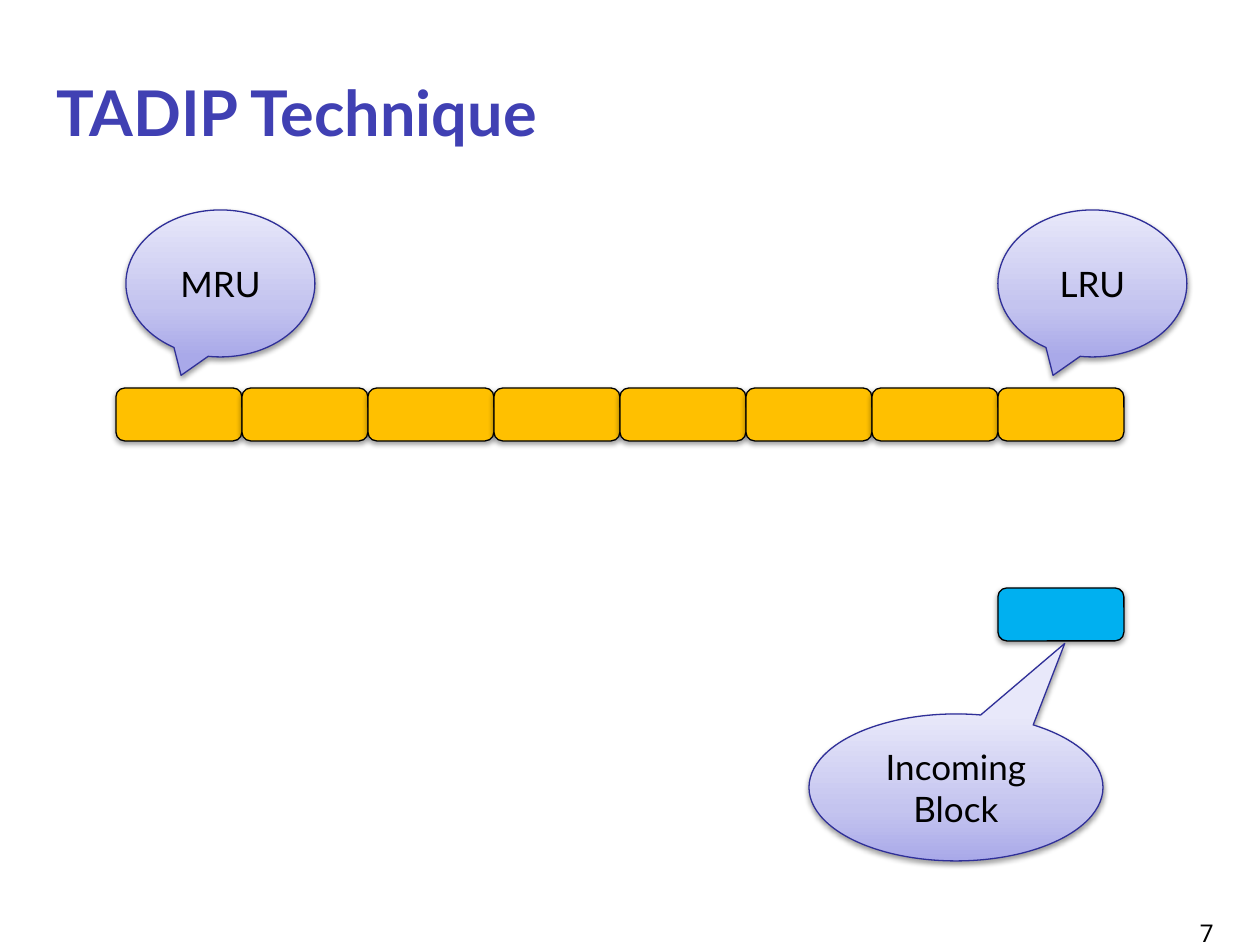
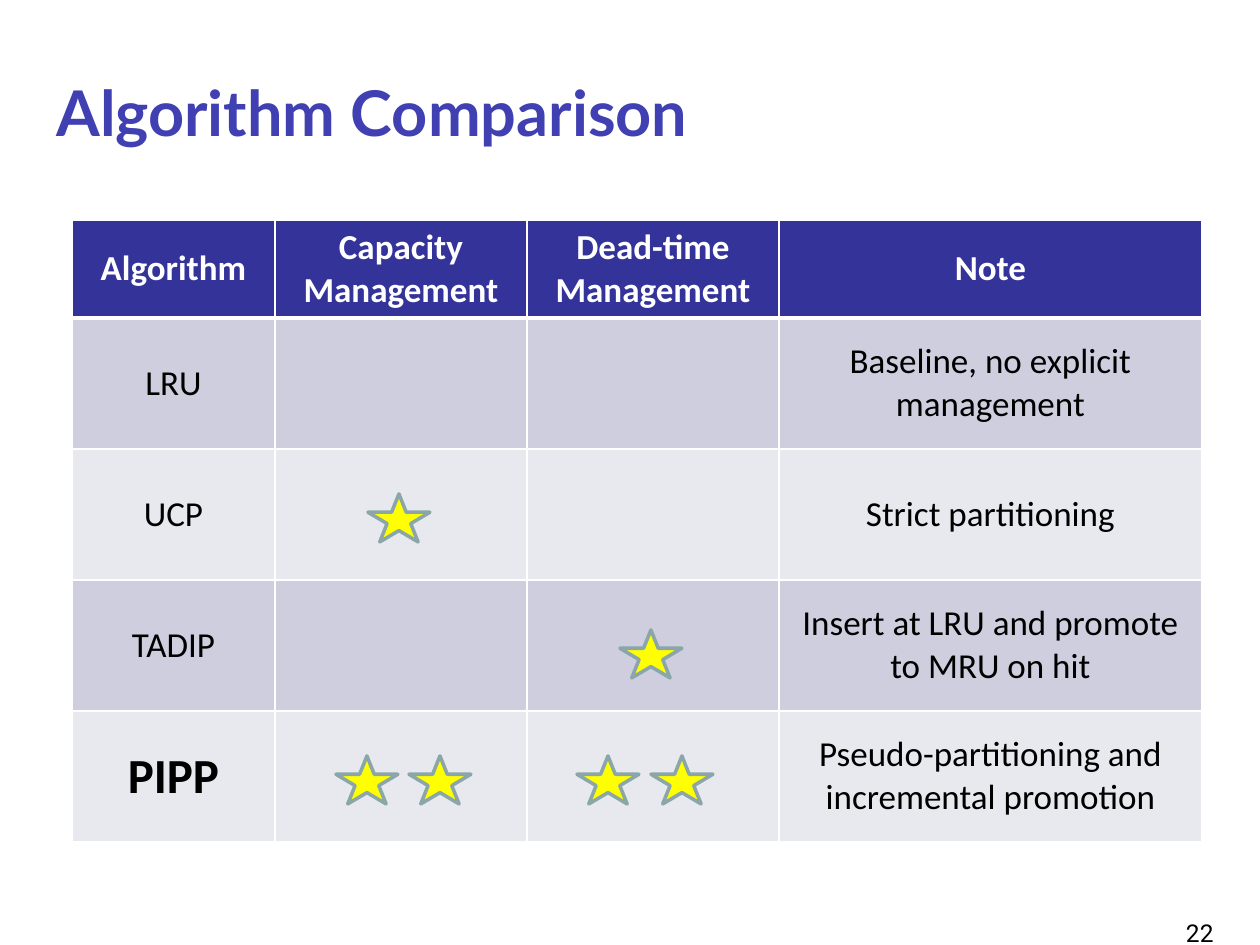
from lxml.etree import SubElement
from pptx import Presentation
from pptx.dml.color import RGBColor
from pptx.enum.shapes import MSO_SHAPE
from pptx.enum.text import MSO_ANCHOR, PP_ALIGN
from pptx.oxml.ns import qn
from pptx.util import Pt

# Content
CACHE_TITLE = "TADIP Technique"
CACHE_PAGE = "7"
BLOCK_COUNT = 8
CALLOUTS = [  # text, (left, top, width, height), tail position or None for the preset one
    ("MRU", (126, 210, 189, 147), None),
    ("LRU", (998, 210, 189, 147), None),
    ("Incoming Block", (809, 714, 294, 147), (0.37, -0.98)),
]

COMPARISON_TITLE = "Algorithm Comparison"
COMPARISON_PAGE = "22"
COMPARISON = [
    ("Algorithm", "Capacity Management", "Dead-time Management", "Note"),
    ("LRU", "", "", "Baseline, no explicit management"),
    ("UCP", "", "", "Strict partitioning"),
    ("TADIP", "", "", "Insert at LRU and promote to MRU on hit"),
    ("PIPP", "", "", "Pseudo-partitioning and incremental promotion"),
]
HIGHLIGHT = "PIPP"
STARS = [(368, 494), (620, 630), (336, 756), (409, 756), (577, 756), (651, 756)]

# Layout in px
EMU_PER_PX = 914400 / 126
SLIDE_SIZE = (1260, 945)
TITLE_BOX = (44, 59, 1134, 105)
PAGE_BOX = (1143, 912, 83, 21)
BLOCK_LEFT, BLOCK_TOP, INCOMING_TOP = 116, 388, 588
BLOCK_WIDTH, BLOCK_HEIGHT = 126, 53
TABLE_LEFT, TABLE_TOP = 72, 220
COLUMN_WIDTHS = [203, 252, 252, 423]
ROW_HEIGHTS = [98] + [131] * 4
STAR_WIDTH, STAR_HEIGHT = 62, 48

# Style
HEADING_FONT, TABLE_FONT, PAGE_FONT = "Lato", "Calibri", "Roboto"
BLACK = RGBColor(0x00, 0x00, 0x00)
WHITE = RGBColor(0xFF, 0xFF, 0xFF)
TITLE_BLUE = RGBColor(0x40, 0x40, 0xB3)
CALLOUT_LINE = RGBColor(0x2F, 0x2F, 0x98)
CALLOUT_STOPS = [
    (0, RGBColor(0xA9, 0xA9, 0xE9)),
    (35, RGBColor(0xC4, 0xC4, 0xEF)),
    (100, RGBColor(0xE8, 0xE8, 0xFA)),
]
CACHED = RGBColor(0xFF, 0xC0, 0x00)
INCOMING = RGBColor(0x00, 0xB0, 0xF0)
HEADER_FILL = RGBColor(0x33, 0x33, 0x99)
ROW_FILLS = [RGBColor(0xE8, 0xE8, 0xEF), RGBColor(0xCE, 0xCE, 0xDE)]
STAR_FILL = RGBColor(0xFF, 0xFF, 0x00)
STAR_LINE = RGBColor(0x8A, 0xA6, 0xA8)


def px(length):
    return round(length * EMU_PER_PX)


def write_text(text_frame, text, font=HEADING_FONT, size=20, color=BLACK, bold=False,
               align=PP_ALIGN.CENTER):
    paragraph = text_frame.paragraphs[0]
    paragraph.alignment = align
    run = paragraph.add_run()
    run.text = text
    run.font.name = font
    run.font.size = Pt(size)
    run.font.color.rgb = color
    run.font.bold = bold


def add_text(slide, text, box, anchor=MSO_ANCHOR.TOP, **text_format):
    text_frame = slide.shapes.add_textbox(*map(px, box)).text_frame
    text_frame.word_wrap = True
    text_frame.vertical_anchor = anchor
    write_text(text_frame, text, **text_format)


def add_color(parent, color):
    return SubElement(parent, qn("a:srgbClr"), val=str(color))


def add_soft_shadow(shape):
    shape.shadow.inherit = False
    effects = shape._element.spPr.find(qn("a:effectLst"))
    shadow = SubElement(effects, qn("a:outerShdw"), blurRad="40000", dist="20000",
                        dir="5400000", rotWithShape="0")
    SubElement(add_color(shadow, BLACK), qn("a:alpha"), val="38000")


def add_outlined(slide, preset, box, line_color, line_width, fill=None):
    shape = slide.shapes.add_shape(preset, *map(px, box))
    shape.shadow.inherit = False
    shape.line.color.rgb = line_color
    shape.line.width = Pt(line_width)
    if fill is not None:
        shape.fill.solid()
        shape.fill.fore_color.rgb = fill
    return shape


def add_block(slide, column, top, fill):
    box = (BLOCK_LEFT + column * BLOCK_WIDTH, top, BLOCK_WIDTH, BLOCK_HEIGHT)
    add_soft_shadow(add_outlined(slide, MSO_SHAPE.ROUNDED_RECTANGLE, box, BLACK, 0.75, fill))


def add_callout(slide, text, box, tail):
    shape = add_outlined(slide, MSO_SHAPE.OVAL_CALLOUT, box, CALLOUT_LINE, 0.75)
    shape.fill.gradient()
    shape.fill.gradient_angle = 90
    stops = shape._element.spPr.find(qn("a:gradFill")).find(qn("a:gsLst"))
    stops.clear()
    for position, color in CALLOUT_STOPS:
        add_color(SubElement(stops, qn("a:gs"), pos=str(position * 1000)), color)
    add_soft_shadow(shape)
    if tail:
        shape.adjustments[0], shape.adjustments[1] = tail
    shape.text_frame.word_wrap = True
    shape.text_frame.vertical_anchor = MSO_ANCHOR.MIDDLE
    write_text(shape.text_frame, text)


def add_borders(cell, **widths):
    properties = cell._tc.get_or_add_tcPr()
    for side, width in widths.items():
        line = SubElement(properties, qn(f"a:ln{side}"), w=str(Pt(width)))
        add_color(SubElement(line, qn("a:solidFill")), WHITE)


def add_comparison(slide):
    box = (TABLE_LEFT, TABLE_TOP, sum(COLUMN_WIDTHS), sum(ROW_HEIGHTS))
    table = slide.shapes.add_table(len(COMPARISON), len(COLUMN_WIDTHS), *map(px, box)).table
    table.first_row = table.horz_banding = False
    for column, width in zip(table.columns, COLUMN_WIDTHS):
        column.width = px(width)
    for row_index, texts in enumerate(COMPARISON):
        table.rows[row_index].height = px(ROW_HEIGHTS[row_index])
        is_header = row_index == 0
        for column_index, text in enumerate(texts):
            cell = table.cell(row_index, column_index)
            add_borders(cell, L=1, R=1, T=3 if row_index == 1 else 1, B=3 if is_header else 1)
            cell.fill.solid()
            cell.fill.fore_color.rgb = HEADER_FILL if is_header else ROW_FILLS[row_index % 2]
            cell.vertical_anchor = MSO_ANCHOR.MIDDLE
            if text:
                write_text(cell.text_frame, text, font=TABLE_FONT,
                           size=28 if text == HIGHLIGHT else 20,
                           color=WHITE if is_header else BLACK,
                           bold=is_header or text == HIGHLIGHT)


def add_slide(presentation, title, page):
    slide = presentation.slides.add_slide(presentation.slide_layouts[6])
    add_text(slide, title, TITLE_BOX, anchor=MSO_ANCHOR.MIDDLE, size=36, color=TITLE_BLUE,
             bold=True, align=PP_ALIGN.LEFT)
    add_text(slide, page, PAGE_BOX, font=PAGE_FONT, size=14, align=PP_ALIGN.RIGHT)
    return slide


def main():
    presentation = Presentation()
    presentation.slide_width, presentation.slide_height = map(px, SLIDE_SIZE)

    slide = add_slide(presentation, CACHE_TITLE, CACHE_PAGE)
    for column in range(BLOCK_COUNT):
        add_block(slide, column, BLOCK_TOP, CACHED)
    add_block(slide, BLOCK_COUNT - 1, INCOMING_TOP, INCOMING)
    for callout in CALLOUTS:
        add_callout(slide, *callout)

    slide = add_slide(presentation, COMPARISON_TITLE, COMPARISON_PAGE)
    add_comparison(slide)
    for left, top in STARS:
        add_outlined(slide, MSO_SHAPE.STAR_5_POINT, (left, top, STAR_WIDTH, STAR_HEIGHT),
                     STAR_LINE, 2, STAR_FILL)

    presentation.save("out.pptx")


if __name__ == "__main__":
    main()
